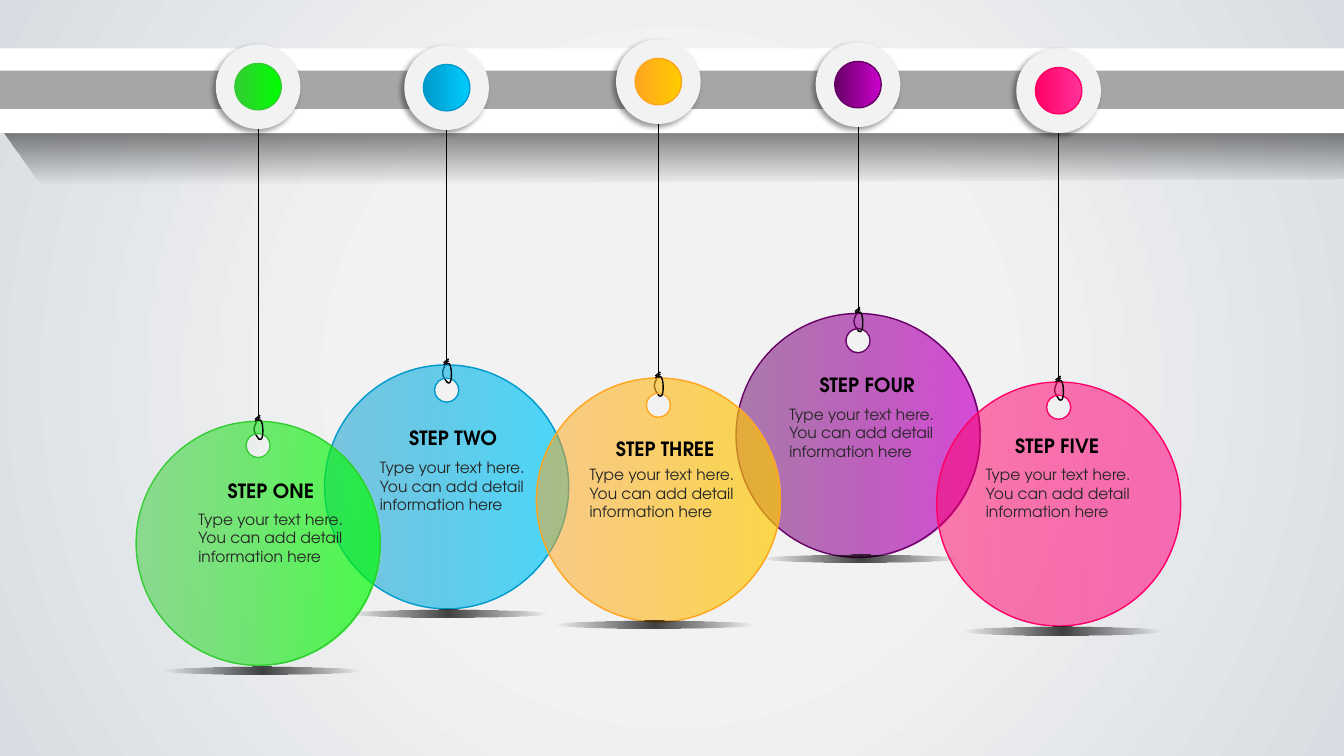
from dataclasses import dataclass

from lxml.etree import SubElement
from pptx import Presentation
from pptx.dml.color import RGBColor
from pptx.enum.shapes import MSO_CONNECTOR, MSO_SHAPE
from pptx.enum.text import MSO_ANCHOR, PP_ALIGN
from pptx.oxml.ns import qn
from pptx.util import Inches, Pt

FONT = "TeX Gyre Adventor"
BLACK = RGBColor(0x00, 0x00, 0x00)
WHITE = RGBColor(0xFF, 0xFF, 0xFF)
CHARCOAL = RGBColor(0x26, 0x26, 0x26)
GRAY = RGBColor(0xA6, 0xA6, 0xA6)
PALE = RGBColor(0xF2, 0xF2, 0xF2)
MIST = RGBColor(0xD8, 0xDD, 0xE3)
PURPLE, MAGENTA = RGBColor(0x66, 0x00, 0x66), RGBColor(0xCC, 0x00, 0xCC)
CRIMSON, PINK = RGBColor(0xFF, 0x00, 0x66), RGBColor(0xFF, 0x33, 0x99)
BLUE, CYAN = RGBColor(0x00, 0x99, 0xCC), RGBColor(0x00, 0xCC, 0xFF)
ORANGE, YELLOW = RGBColor(0xFF, 0xA5, 0x1F), RGBColor(0xFF, 0xCC, 0x00)
GREEN, LIME = RGBColor(0x33, 0xCC, 0x33), RGBColor(0x00, 0xFF, 0x00)

DISC_RADIUS = 1.21
HOLE_RADIUS = 0.12
KNOB_RADIUS = 0.42
DOT_RADIUS = 0.23
BODY = "Type your text here. You can add detail information here"
FADE = [(0, BLACK, 74), (100, BLACK, 0)]
LEFT_LOOP = [(0.01, 0.18), (-0.01, 0.15), (-0.04, 0.12), (-0.04, 0.08),
             (-0.04, 0.05), (-0.02, 0.01), (0, -0.02)]
RIGHT_LOOP = [(0, -0.01), (0.02, -0.03), (0.03, -0.01), (0.04, 0.02),
              (0.05, 0.05), (0.05, 0.14), (0.04, 0.16),
              (0.03, 0.19), (0.01, 0.18), (0, 0.17)]
UNIT_CIRCLE = [(0, -1), (0.55, -1), (1, -0.55), (1, 0), (1, 0.55), (0.55, 1), (0, 1),
               (-0.55, 1), (-1, 0.55), (-1, 0), (-1, -0.55), (-0.55, -1), (0, -1)]


@dataclass
class Step:
    title: str
    center: float
    disc_top: float
    knob_top: float
    hole_drop: float
    title_at: tuple
    title_width: float
    body_at: tuple
    ground_at: tuple
    dark: RGBColor
    light: RGBColor


STEPS = [
    Step("STEP FOUR", 8.51, 3.11, 0.42, 0.27, (8.03, 3.65), 1.15,
         (7.73, 3.97), (7.56, 5.5), PURPLE, MAGENTA),
    Step("STEP FIVE", 10.5, 3.79, 0.48, 0.25, (9.97, 4.26), 1.04,
         (9.68, 4.57), (9.56, 6.22), CRIMSON, PINK),
    Step("STEP TWO", 4.43, 3.62, 0.45, 0.25, (3.96, 4.18), 1.08,
         (3.67, 4.5), (3.47, 6.05), BLUE, CYAN),
    Step("STEP THREE", 6.53, 3.75, 0.39, 0.27, (6.01, 4.29), 1.19,
         (5.75, 4.57), (5.51, 6.16), ORANGE, YELLOW),
    Step("STEP ONE", 2.56, 4.18, 0.44, 0.24, (2.16, 4.7), 1.08,
         (1.87, 5.01), (1.62, 6.61), GREEN, LIME),
]


def set_gradient(owner, stops, angle=None):
    owner.fill.gradient()
    gradient = owner.element.find(".//" + qn("a:gradFill"))
    for child in list(gradient):
        gradient.remove(child)
    stop_list = SubElement(gradient, qn("a:gsLst"))
    for position, color, opacity in stops:
        stop = SubElement(stop_list, qn("a:gs"), pos=str(position * 1000))
        tone = SubElement(stop, qn("a:srgbClr"), val=str(color))
        if opacity < 100:
            SubElement(tone, qn("a:alpha"), val=str(opacity * 1000))
    if angle is None:
        route = SubElement(gradient, qn("a:path"))
        route.set("path", "circle")
        SubElement(route, qn("a:fillToRect"), l="50000", t="50000", r="50000", b="50000")
    else:
        SubElement(gradient, qn("a:lin"), ang=str(angle * 60000), scaled="0")


def set_outline(shape, color=None, width=1):
    shape.shadow.inherit = False
    if color is None:
        shape.line.fill.background()
    else:
        shape.line.color.rgb = color
        shape.line.width = Pt(width)


def add_preset(shapes, kind, left, top, width, height, color=None):
    shape = shapes.add_shape(kind, Inches(left), Inches(top), Inches(width), Inches(height))
    set_outline(shape)
    if color is not None:
        shape.fill.solid()
        shape.fill.fore_color.rgb = color
    return shape


def add_circle(shapes, x, y, radius, color=None):
    return add_preset(shapes, MSO_SHAPE.OVAL, x - radius, y - radius, 2 * radius, 2 * radius, color)


def add_polygon(shapes, contours, close=True):
    contours = [[(Inches(x), Inches(y)) for x, y in contour] for contour in contours]
    builder = shapes.build_freeform(*contours[0][0])
    for index, contour in enumerate(contours):
        if index:
            builder.move_to(*contour[0])
        builder.add_line_segments(contour[1:], close=close)
    return builder.convert_to_shape()


def add_curve(shapes, contours, close=True):
    shape = add_polygon(shapes, contours, close)
    segments = list(shape.element.iter(qn("a:lnTo")))
    for first, second, third in zip(segments[::3], segments[1::3], segments[2::3]):
        first.tag = qn("a:cubicBezTo")
        for segment in (second, third):
            first.append(segment[0])
            segment.getparent().remove(segment)
    return shape


def place_points(points, x, y, scale=1):
    return [(x + scale * dx, y + scale * dy) for dx, dy in points]


def add_loop(shapes, x, y, controls):
    loop = add_curve(shapes, [place_points(controls, x, y)], close=False)
    loop.fill.background()
    set_outline(loop, BLACK)


def add_thread(shapes, start, end, width):
    thread = shapes.add_connector(
        MSO_CONNECTOR.STRAIGHT, *[Inches(value) for value in (*start, *end)])
    thread.line.color.rgb = BLACK
    thread.line.width = Pt(width)
    SubElement(thread.element.spPr, qn("a:effectLst"))


def add_label(shapes, text, left_top, width, height, size, color, bold=False, wrap=True):
    left, top = left_top
    box = shapes.add_textbox(Inches(left), Inches(top), Inches(width), Inches(height))
    box.text_frame.word_wrap = wrap
    box.text_frame.vertical_anchor = MSO_ANCHOR.TOP
    paragraph = box.text_frame.paragraphs[0]
    paragraph.text = text
    paragraph.alignment = PP_ALIGN.LEFT
    paragraph.font.name = FONT
    paragraph.font.size = Pt(size)
    paragraph.font.bold = bold
    paragraph.font.color.rgb = color


def add_rail(shapes, left, top, width):
    corners = [(1.07, 1.35), (0.49, 0.54), (13.88, 0.69), (14.28, 1.29)]
    shade = add_polygon(shapes, [place_points(corners, left, top)])
    set_outline(shade)
    set_gradient(shade, FADE, 90)
    for inset_x, inset_y, height, color in [(0, 0, 0.84, WHITE), (0.34, 0.22, 0.38, GRAY)]:
        bar = add_preset(shapes, MSO_SHAPE.ROUNDED_RECTANGLE, left + inset_x, top + inset_y,
                         width - 2 * inset_x, height, color)
        bar.adjustments[0] = 0.5


def add_knob(shapes, step):
    middle = step.knob_top + KNOB_RADIUS
    knob = add_circle(shapes, step.center, middle, KNOB_RADIUS, PALE)
    effects = knob.element.spPr.find(qn("a:effectLst"))
    shadow = SubElement(effects, qn("a:outerShdw"), blurRad=str(Pt(4)), dist=str(Pt(3)),
                        dir=str(135 * 60000), algn="ctr", rotWithShape="0")
    tone = SubElement(shadow, qn("a:srgbClr"), val=str(BLACK))
    SubElement(tone, qn("a:alpha"), val="40000")
    dot = add_circle(shapes, step.center, middle, DOT_RADIUS)
    set_gradient(dot, [(0, step.dark, 100), (100, step.light, 100)], 0)
    set_outline(dot, step.dark)


def add_step(slide, step):
    shapes = slide.shapes.add_group_shape().shapes
    x, y = step.center, step.disc_top
    add_loop(shapes, x, y, LEFT_LOOP)
    disc = add_curve(shapes, [place_points(UNIT_CIRCLE, x, y + step.hole_drop, HOLE_RADIUS),
                              place_points(UNIT_CIRCLE, x, y + DISC_RADIUS, DISC_RADIUS)])
    set_gradient(disc, [(0, step.dark, 50), (100, step.light, 70)], 0)
    set_outline(disc, step.dark)
    add_knob(shapes, step)
    add_thread(shapes, (x, step.knob_top + 2 * KNOB_RADIUS), (x, y), 0.5)
    add_loop(shapes, x, y, RIGHT_LOOP)
    for rise in (0, 0.02):
        add_thread(shapes, (x - 0.03, y - rise), (x + 0.02, y - rise - 0.04), 1)
    ground = add_preset(shapes, MSO_SHAPE.OVAL, *step.ground_at, 1.96, 0.08)
    set_gradient(ground, FADE)
    add_label(shapes, BODY, step.body_at, 1.86, 0.66, 11, CHARCOAL)
    add_label(shapes, step.title, step.title_at, step.title_width, 0.34, 14, BLACK, True, False)


def main():
    presentation = Presentation()
    presentation.slide_width, presentation.slide_height = Inches(13.33), Inches(7.5)
    slide = presentation.slides.add_slide(presentation.slide_layouts[6])
    set_gradient(slide.background, [(41, PALE, 100), (100, MIST, 100)])
    add_rail(slide.shapes, -0.66, 0.48, 14.92)
    for step in STEPS:
        add_step(slide, step)
    presentation.save("out.pptx")


if __name__ == "__main__":
    main()
